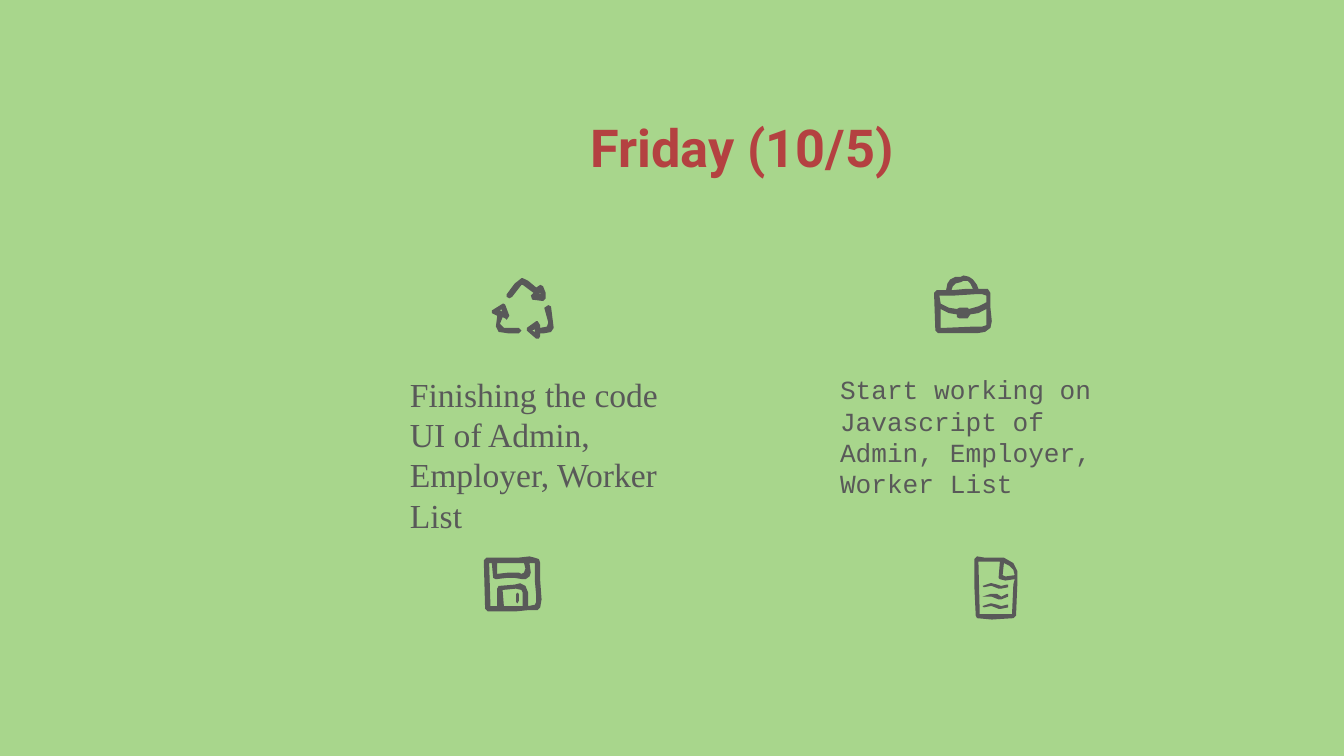
import pptx
import pptx.util
import pptx.dml.color
import pptx.enum.text
import pptx.oxml.ns
from lxml import etree

Inches = pptx.util.Inches
Align = pptx.enum.text.PP_ALIGN
Anchor = pptx.enum.text.MSO_ANCHOR
GRAY = "595959"

# Icon outlines: each part is a list of contours, in hundredths of an inch
DISK = [
    [
        [(30, 5), (31, 9), (30, 12), (28, 13), (26, 12), (19, 12), (10, 13),
         (10, 5)],
        [(35, 5), (38, 5), (38, 18), (39, 29), (39, 34), (38, 36), (33, 37),
         (33, 27), (31, 22), (27, 20), (23, 21), (11, 22), (10, 24), (10, 37),
         (5, 37), (4, 5), (6, 5), (7, 16), (9, 17), (17, 16), (23, 16),
         (29, 17), (31, 17), (34, 15), (35, 12), (34, 5)],
        [(24, 24), (28, 25), (29, 27), (29, 37), (15, 37), (14, 25)],
        [(34, 0), (25, 1), (2, 1), (0, 3), (1, 39), (3, 41), (23, 41),
         (33, 40), (40, 40), (42, 38), (43, 32), (42, 18), (42, 5), (41, 2),
         (38, 1)],
    ],
    [[(25, 27), (24, 28), (24, 34), (25, 35), (26, 33), (26, 28)]],
]
CYCLE = [
    [
        [(36, 11), (36, 12), (35, 12)],
        [(23, 0), (22, 0), (17, 4), (11, 12), (11, 14), (13, 15), (15, 14),
         (22, 5), (23, 5), (31, 11), (29, 13), (30, 16), (38, 17), (40, 15),
         (40, 11), (38, 6), (36, 5), (33, 7), (27, 2)],
    ],
    [
        [(7, 23), (8, 25), (6, 24)],
        [(9, 19), (8, 19), (0, 24), (0, 26), (2, 27), (4, 28), (3, 36),
         (5, 40), (12, 41), (20, 41), (22, 39), (20, 37), (9, 37), (6, 34),
         (8, 29), (10, 30), (11, 31), (13, 28), (10, 20)],
    ],
    [
        [(32, 38), (32, 40), (30, 39)],
        [(42, 20), (39, 22), (42, 33), (41, 36), (36, 37), (36, 35), (34, 32),
         (33, 32), (26, 37), (26, 39), (33, 45), (35, 45), (36, 43), (36, 41),
         (39, 41), (44, 40), (46, 37), (44, 21)],
    ],
]
CASE = [
    [
        [(22, 4), (25, 4), (27, 6), (29, 10), (24, 10), (13, 11), (14, 8),
         (16, 6), (20, 5)],
        [(36, 14), (39, 15), (39, 20), (33, 23), (26, 25), (25, 24), (19, 24),
         (17, 25), (11, 24), (5, 21), (4, 15), (15, 15), (30, 14)],
        [(39, 25), (39, 37), (36, 38), (31, 38), (8, 39), (5, 39), (5, 25),
         (11, 28), (17, 29), (17, 31), (19, 32), (25, 32), (27, 29),
         (33, 28)],
        [(22, 0), (20, 1), (16, 1), (12, 3), (10, 6), (9, 11), (2, 11),
         (0, 13), (1, 41), (3, 43), (22, 43), (32, 43), (38, 42), (42, 39),
         (43, 34), (42, 24), (42, 13), (40, 10), (33, 10), (32, 7), (29, 3),
         (26, 1)],
    ],
]
PAGE = [
    [
        [(23, 5), (27, 7), (30, 10), (31, 14), (24, 15), (22, 14)],
        [(4, 4), (13, 4), (20, 4), (19, 16), (20, 17), (24, 18), (31, 17),
         (30, 21), (29, 43), (14, 43), (5, 43)],
        [(3, 0), (1, 2), (1, 23), (2, 44), (3, 46), (14, 47), (30, 46),
         (32, 44), (33, 19), (33, 11), (30, 5), (23, 1), (15, 1), (9, 1)],
    ],
]
WAVE = [(13, 20), (7, 22), (8, 23), (13, 22), (14, 22), (19, 24), (21, 24),
        (26, 23), (26, 21), (25, 21), (21, 22), (18, 21), (14, 20)]
PAGE += [[[(x, y + 7.5 * row) for x, y in WAVE]] for row in range(3)]


def color(code):
    return pptx.dml.color.RGBColor.from_string(code)


def fill_text(holder, box, text, font, size, code, bold=False):
    """Move a placeholder to its box and set its text."""
    holder.left, holder.top, holder.width, holder.height = map(Inches, box)
    frame = holder.text_frame
    frame.text = text
    frame.word_wrap = True
    frame.auto_size = pptx.enum.text.MSO_AUTO_SIZE.NONE
    frame.vertical_anchor = Anchor.TOP
    frame.margin_left = frame.margin_right = Inches(0.1)
    frame.margin_top = frame.margin_bottom = Inches(0.1)
    para = frame.paragraphs[0]
    para.space_before = pptx.util.Pt(0)
    style = para.runs[0].font
    style.name, style.size, style.bold = font, pptx.util.Pt(size), bold
    style.color.rgb = color(code)
    return para


def add_title(holder, box, text):
    para = fill_text(holder, box, text, "Roboto", 28, "B44141", True)
    para.alignment = Align.CENTER
    para.line_spacing = 0.8


def add_task(holder, box, text, font, size):
    para = fill_text(holder, box, text, font, size, GRAY)
    para.alignment = Align.LEFT
    para.line_spacing = 1.0
    # No bullet and no hanging indent
    props = para._p.get_or_add_pPr()
    props.set("marL", "0")
    props.set("indent", "0")
    etree.SubElement(props, pptx.oxml.ns.qn("a:buNone"))


def add_icon(slide, left, top, parts):
    """Draw an icon from its corner; several parts form a group."""
    shapes = slide.shapes
    if len(parts) > 1:
        shapes = shapes.add_group_shape().shapes
    for part in parts:
        first, *rest = part
        pen = shapes.build_freeform(*first[0], scale=Inches(0.01))
        pen.add_line_segments(first[1:], close=True)
        for line in rest:
            pen.move_to(*line[0])
            pen.add_line_segments(line[1:], close=True)
        shape = pen.convert_to_shape(Inches(left), Inches(top))
        shape.shadow.inherit = False
        shape.fill.solid()
        shape.fill.fore_color.rgb = color(GRAY)
        shape.line.fill.background()


def main():
    deck = pptx.Presentation()
    # Widescreen, 16 to 9
    deck.slide_width = Inches(10)
    deck.slide_height = Inches(10 * 9 / 16)
    slide = deck.slides.add_slide(deck.slide_layouts[3])
    back = slide.background.fill
    back.solid()
    back.fore_color.rgb = color("A8D68C")

    # Tasks and title
    holders = slide.placeholders
    add_task(holders[1], (2.95, 2.68, 2.16, 0.78),
             "Finishing the code UI of Admin, Employer, Worker List",
             "Times New Roman", 18)
    add_task(holders[2], (6.15, 2.68, 2.36, 0.78),
             "Start working on Javascript of Admin, Employer, Worker List",
             "Courier New", 14)
    add_title(slide.shapes.title, (3.28, 0.85, 4.48, 0.63), "Friday (10/5)")

    # Icons
    add_icon(slide, 3.6, 4.14, DISK)
    add_icon(slide, 3.66, 2.07, CYCLE)
    add_icon(slide, 6.95, 2.05, CASE)
    add_icon(slide, 7.24, 4.14, PAGE)
    deck.save("out.pptx")


if __name__ == "__main__":
    main()
